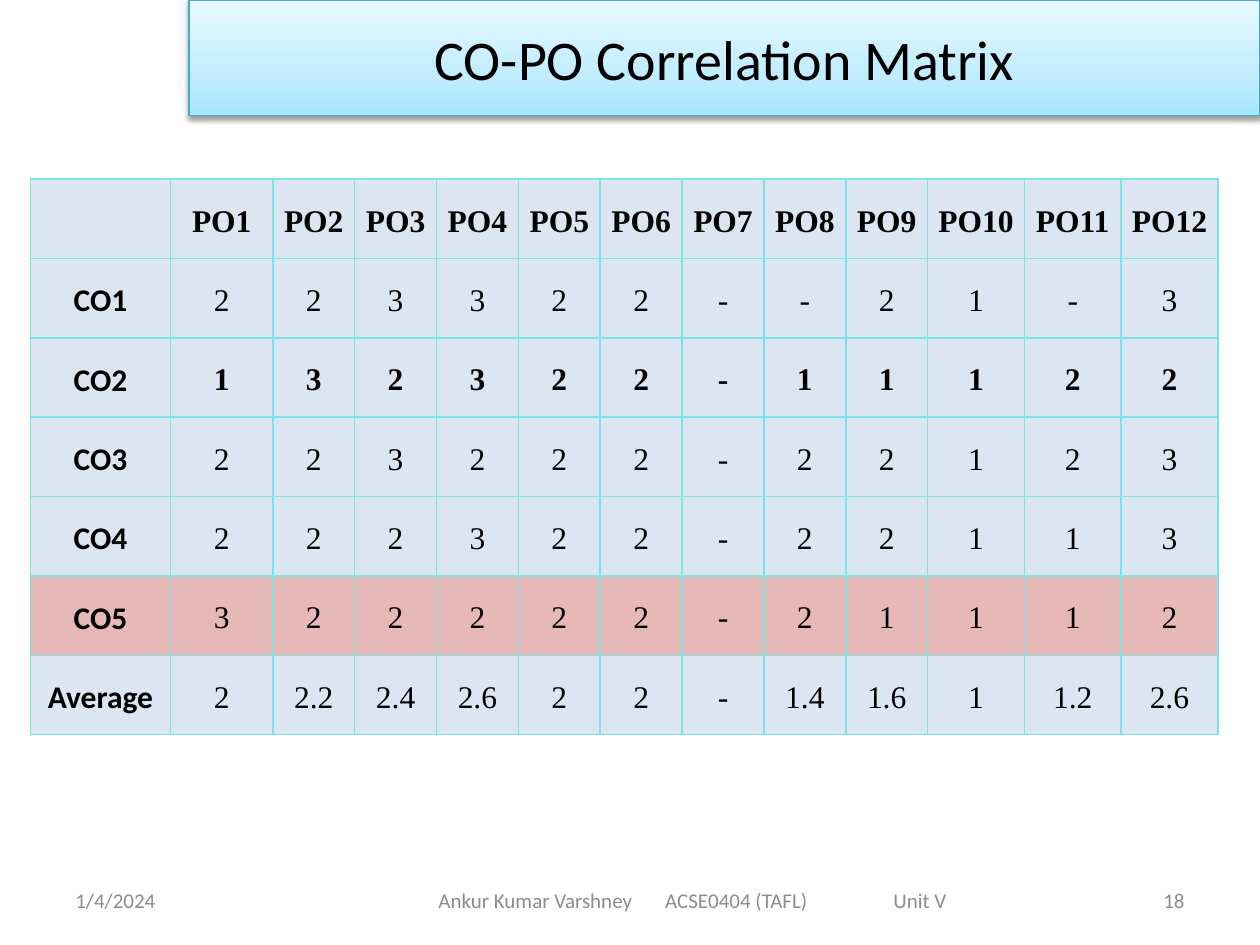
from lxml import etree
from pptx import Presentation
from pptx.dml.color import RGBColor
from pptx.enum import text
from pptx.oxml import parse_xml
from pptx.oxml.ns import qn
from pptx.util import Cm, Pt

HEADS = [""] + [f"PO{n}" for n in range(1, 13)]
ROWS = [
    ("CO1", "2 2 3 3 2 2 - - 2 1 - 3"),
    ("CO2", "1 3 2 3 2 2 - 1 1 1 2 2"),
    ("CO3", "2 2 3 2 2 2 - 2 2 1 2 3"),
    ("CO4", "2 2 2 3 2 2 - 2 2 1 1 3"),
    ("CO5", "3 2 2 2 2 2 - 2 1 1 1 2"),
    ("Average", "2 2.2 2.4 2.6 2 2 - 1.4 1.6 1 1.2 2.6"),
]
WIDTHS = [2.83, 2.06] + [1.65] * 8 + [1.95] * 3
HIGH = 1.6
MARKED, STRONG = "CO5", "CO2"
TABS = [4.57, 9.17]
COLORS = {"ink": "000000", "gray": "8C8C8C", "cell": "DCE6F2", "mark": "E6B9B8",
          "grid": "7BE5E5", "edge": "46AAC5"}
FADE = [(0, "A7E6FF"), (35, "C1EDFF"), (100, "E7F8FF")]
NS = 'xmlns:a="http://schemas.openxmlformats.org/drawingml/2006/main"'
LEFT, MID, RIGHT = text.PP_ALIGN.LEFT, text.PP_ALIGN.CENTER, text.PP_ALIGN.RIGHT


def rgb(name):
    return RGBColor.from_string(COLORS[name])


def write(frame, words, size=18, font="Calibri", color="ink", bold=False,
          align=MID, lead=None, after=None, tabs=()):
    para = frame.paragraphs[0]
    para.text = words
    para.alignment = align
    if lead:
        para.line_spacing = lead
    if after:
        para.space_after = Pt(after)
    if tabs:
        stops = etree.SubElement(para._p.get_or_add_pPr(), qn("a:tabLst"))
        for pos in tabs:
            etree.SubElement(stops, qn("a:tab"), pos=str(Cm(pos)), algn="l")
    for run in para.runs:
        run.font.size = Pt(size)
        run.font.name = font
        run.font.bold = bold
        run.font.color.rgb = rgb(color)


def banner(slide):
    title = slide.shapes.title
    title.left, title.top, title.width, title.height = Cm(3.81), Cm(0), Cm(21.59), Cm(2.33)
    stops = "".join(f'<a:gs pos="{pos * 1000}"><a:srgbClr val="{tone}"/></a:gs>'
                    for pos, tone in FADE)
    props = title._element.spPr
    props.append(parse_xml(f'<a:gradFill {NS} rotWithShape="1"><a:gsLst>{stops}</a:gsLst>'
                           '<a:lin ang="16200000" scaled="1"/></a:gradFill>'))
    title.line.color.rgb = rgb("edge")
    title.line.width = Pt(0.75)
    props.append(parse_xml(
        f'<a:effectLst {NS}><a:outerShdw blurRad="{Pt(3.1)}" dist="{Pt(1.6)}" dir="5400000" '
        'rotWithShape="0"><a:srgbClr val="000000"><a:alpha val="38000"/></a:srgbClr>'
        '</a:outerShdw></a:effectLst>'))
    title.text_frame.vertical_anchor = text.MSO_ANCHOR.MIDDLE
    write(title.text_frame, "CO-PO Correlation Matrix", size=32)


def style(cell, fill):
    cell.margin_left = cell.margin_right = Cm(0.18)
    cell.margin_top = cell.margin_bottom = 0
    cell.vertical_anchor = text.MSO_ANCHOR.MIDDLE
    props = cell._tc.get_or_add_tcPr()
    for side in "LRTB":
        props.append(parse_xml(
            f'<a:ln{side} {NS} w="{Pt(1)}"><a:solidFill><a:srgbClr val="{COLORS["grid"]}"/>'
            f'</a:solidFill></a:ln{side}>'))
    cell.fill.solid()
    cell.fill.fore_color.rgb = rgb(fill)


def matrix(slide):
    lines = [HEADS] + [[name, *marks.split()] for name, marks in ROWS]
    table = slide.shapes.add_table(len(lines), len(HEADS), Cm(0.61), Cm(3.61),
                                   Cm(sum(WIDTHS)), Cm(HIGH * len(lines))).table
    for col, wide in zip(table.columns, WIDTHS):
        col.width = Cm(wide)
    for r, line in enumerate(lines):
        table.rows[r].height = Cm(HIGH)
        for c, words in enumerate(line):
            cell = table.cell(r, c)
            style(cell, "mark" if line[0] == MARKED else "cell")
            if words:
                write(cell.text_frame, words, lead=1.15,
                      font="Times New Roman" if c else "Calibri",
                      bold=r == 0 or c == 0 or line[0] == STRONG,
                      after=10 if r and c else None)


def footer(slide, words, left, wide, inset=0.25, **form):
    frame = slide.shapes.add_textbox(Cm(left), Cm(17.65), Cm(wide), Cm(1.01)).text_frame
    frame.word_wrap = True
    frame.margin_left = Cm(inset)
    frame.vertical_anchor = text.MSO_ANCHOR.MIDDLE
    write(frame, words, size=12, color="gray", **form)


def main():
    deck = Presentation()
    deck.slide_width, deck.slide_height = Cm(25.4), Cm(19.05)
    slide = deck.slides.add_slide(deck.slide_layouts[5])
    banner(slide)
    matrix(slide)
    footer(slide, "1/4/2024", 1.27, 5.93, align=LEFT)
    footer(slide, "Ankur Kumar Varshney\tACSE0404 (TAFL)\tUnit V", 6.99, 13.97,
           inset=1.85, align=LEFT, tabs=TABS)
    footer(slide, "18", 18.2, 5.93, align=RIGHT)
    deck.save("out.pptx")


if __name__ == "__main__":
    main()
